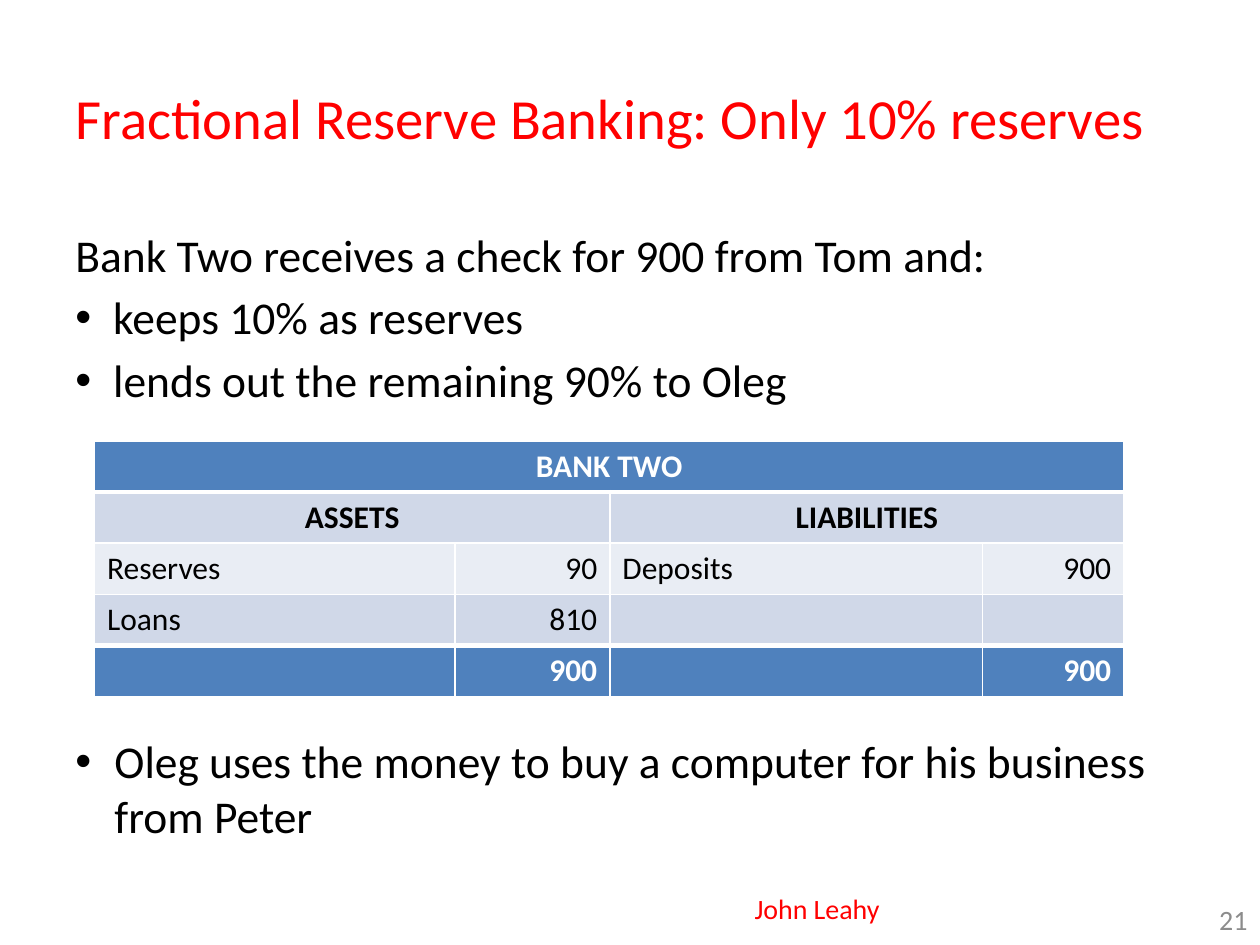
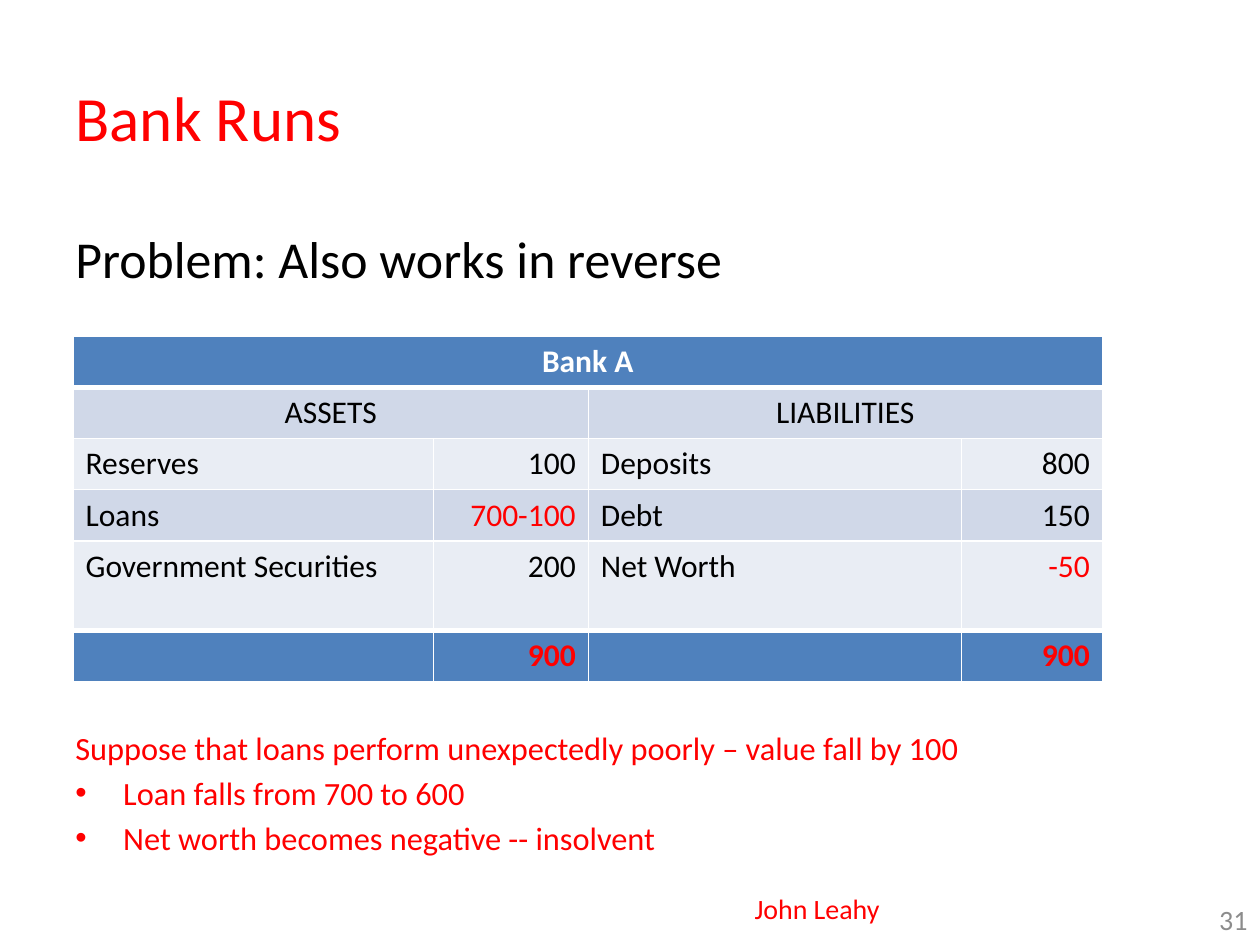
from lxml.etree import SubElement
from pptx import Presentation
from pptx.dml.color import RGBColor
from pptx.enum.text import MSO_ANCHOR, MSO_AUTO_SIZE, PP_ALIGN
from pptx.oxml.ns import qn
from pptx.util import Inches, Pt

HUES = {"red": "FF0000", "black": "000000", "grey": "8C8C8C", "white": "FFFFFF",
        "blue": "4F81BD", "band": "D0D8E8", "pale": "E9EDF4"}
FONT = "Calibri"

deck = Presentation()
deck.slide_width, deck.slide_height = Inches(10), Inches(7.5)
COL, ROW = deck.slide_width / 40, deck.slide_height / 30
WIDTHS = [11.44, 4.92, 11.84, 4.48]
LINE = 1.6


def put(para, text, size, hue, bold=False, align=PP_ALIGN.LEFT):
    para.alignment = align
    run = para.add_run()
    run.text = text
    run.font.name, run.font.size, run.font.bold = FONT, Pt(size), bold
    run.font.color.rgb = RGBColor.from_string(HUES[hue])


def place(shape, left, top, width, height, anchor=MSO_ANCHOR.MIDDLE):
    shape.left, shape.top = int(left * COL), int(top * ROW)
    shape.width, shape.height = int(width * COL), int(height * ROW)
    frame = shape.text_frame
    frame.word_wrap, frame.auto_size = True, MSO_AUTO_SIZE.NONE
    frame.vertical_anchor = anchor
    return frame


# Body lines: text, size, hue, space before, hanging indent
PAGES = [
    {"title": "Fractional Reserve Banking: Only 10% reserves", "size": 32.4, "page": "21",
     "body": [
         ("Bank Two receives a check for 900 from Tom and:", 26, "black", 0, 0),
         ("keeps 10% as reserves", 26, "black", 4.7, 0.3),
         ("lends out the remaining 90% to Oleg", 26, "black", 4.7, 0.3),
         ("Oleg uses the money to buy a computer for his business from Peter",
          26, "black", 186.6, 0.31)],
     "spot": (3, 14), "heads": True, "reds": [], "tall": {},
     "cells": [
         ["BANK TWO", "", "", ""],
         ["ASSETS", "", "LIABILITIES", ""],
         ["Reserves", "90", "Deposits", "900"],
         ["Loans", "810", "", ""],
         ["", "900", "", "900"]]},
    {"title": "Bank Runs", "size": 36, "page": "31",
     "body": [
         ("Problem: Also works in reverse", 29.6, "black", 0, 0),
         ("Suppose that loans perform unexpectedly poorly – value fall by 100",
          18.5, "red", 251, 0),
         ("Loan falls from 700 to 600", 18.5, "red", 3.5, 0.38),
         ("Net worth becomes negative -- insolvent", 18.5, "red", 3.5, 0.38)],
     "spot": (2.32, 10.68), "heads": False, "reds": ["700-100", "-50", "900"],
     "tall": {4: 2.84},
     "cells": [
         ["Bank A", "", "", ""],
         ["ASSETS", "", "LIABILITIES", ""],
         ["Reserves", "100", "Deposits", "800"],
         ["Loans", "700-100", "Debt", "150"],
         ["Government Securities", "200", "Net Worth", "-50"],
         ["", "900", "", "900"]]},
]

for page in PAGES:
    slide = deck.slides.add_slide(deck.slide_layouts[5])
    title = place(slide.shapes.title, 2, 1.2, 36, 5)
    put(title.paragraphs[0], page["title"], page["size"], "red")

    body = place(slide.shapes.add_textbox(0, 0, 0, 0), 2, 7, 36, 19.8, MSO_ANCHOR.TOP)
    for i, (text, size, hue, gap, hang) in enumerate(page["body"]):
        para = body.add_paragraph() if i else body.paragraphs[0]
        if hang:
            props = para._p.get_or_add_pPr()
            props.set("marL", str(Inches(hang)))
            props.set("indent", str(-Inches(hang)))
            SubElement(props, qn("a:buFont"), typeface="Arial")
            SubElement(props, qn("a:buChar"), char="•")
        if gap:
            para.space_before = Pt(gap)
        put(para, text, size, hue)

    for text, hue, spot in [("John Leahy", "red", (22.32, 27.68, 6, 2.32)),
                            (page["page"], "grey", (38, 28.4, 2, 1.6))]:
        foot = place(slide.shapes.add_textbox(0, 0, 0, 0), *spot)
        put(foot.paragraphs[0], text, 16, hue, align=PP_ALIGN.RIGHT)

    cells = page["cells"]
    last = len(cells) - 1
    left, top = page["spot"]
    highs = [page["tall"].get(r, LINE) for r in range(last + 1)]
    table = slide.shapes.add_table(
        last + 1, 4, int(left * COL), int(top * ROW),
        int(sum(WIDTHS) * COL), int(sum(highs) * ROW)).table
    for c, width in enumerate(WIDTHS):
        table.columns[c].width = int(width * COL)
    for r, high in enumerate(highs):
        table.rows[r].height = int(high * ROW)
    table.cell(0, 0).merge(table.cell(0, 3))
    for c in (0, 2):
        table.cell(1, c).merge(table.cell(1, c + 1))

    for r, texts in enumerate(cells):
        edge = r in (0, last)
        for c, text in enumerate(texts):
            cell = table.cell(r, c)
            props = cell._tc.get_or_add_tcPr()
            for side in "LRTB":
                thick = (side == "T" and r in (1, last)) or (side == "B" and r in (0, last - 1))
                line = SubElement(props, qn("a:ln" + side), w=str(Pt(3 if thick else 1)))
                fill = SubElement(line, qn("a:solidFill"))
                SubElement(fill, qn("a:srgbClr"), val=HUES["white"])
            shade = "blue" if edge else "band" if r % 2 else "pale"
            cell.fill.solid()
            cell.fill.fore_color.rgb = RGBColor.from_string(HUES[shade])
            para = cell.text_frame.paragraphs[0]
            if not text:
                para.font.size = Pt(18)
                continue
            hue = "red" if text in page["reds"] else "white" if edge else "black"
            align = PP_ALIGN.CENTER if r < 2 else PP_ALIGN.RIGHT if c % 2 else PP_ALIGN.LEFT
            put(para, text, 18, hue, edge or (r == 1 and page["heads"]), align)

deck.save("out.pptx")
